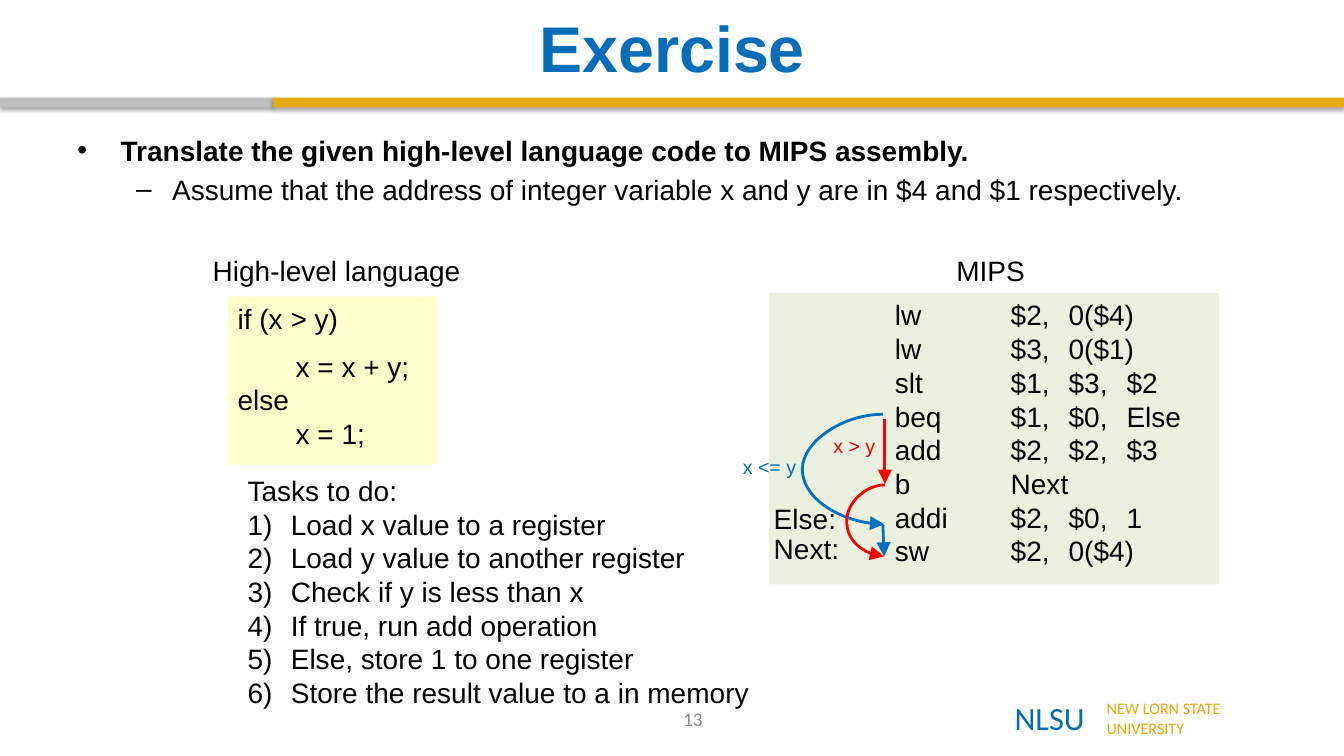
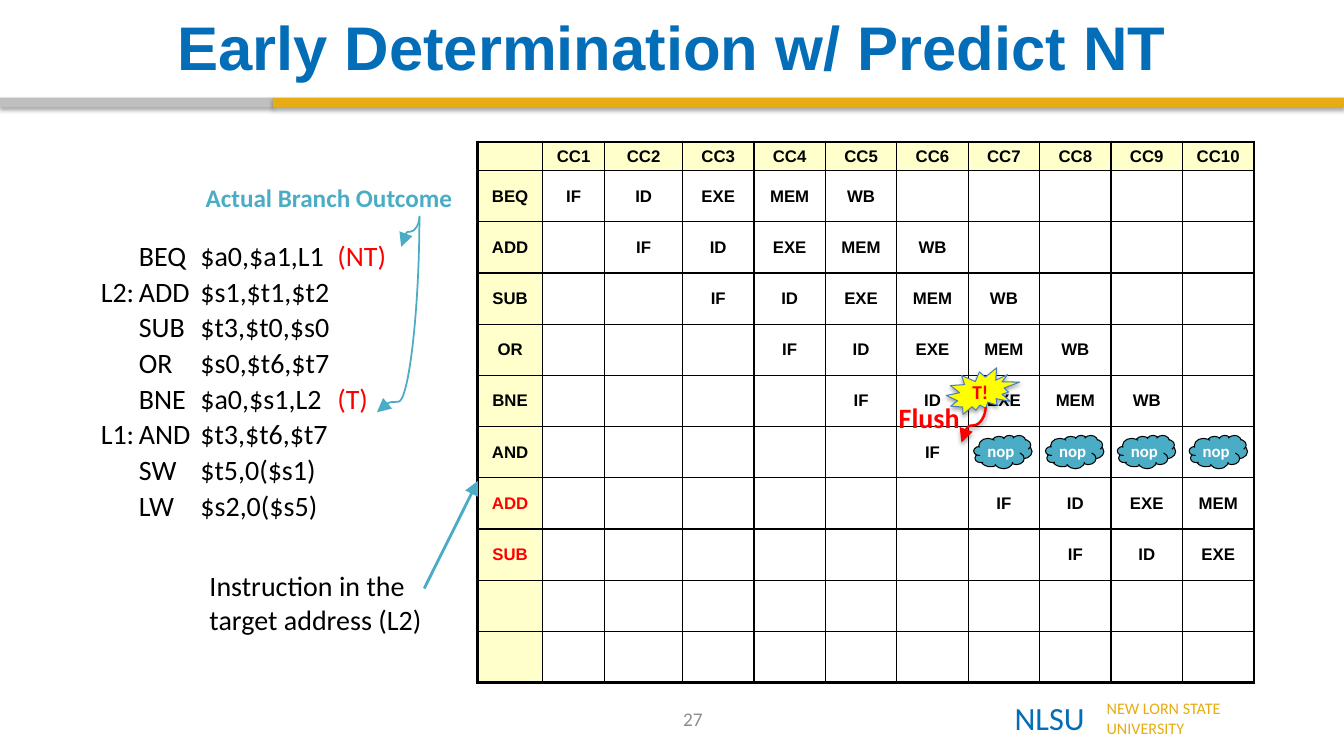
from dataclasses import dataclass
from typing import NamedTuple, Optional

from lxml import etree
from pptx import Presentation
from pptx import util as u
from pptx.dml.color import RGBColor
from pptx.enum import shapes, text
from pptx.oxml.ns import qn

BLUE = RGBColor(0x03, 0x6D, 0xB7)
GOLD = RGBColor(0xE7, 0xAC, 0x11)
SILVER = RGBColor(0xBF, 0xBF, 0xBF)
GRAY = RGBColor(0x8C, 0x8C, 0x8C)
BLACK = RGBColor(0x00, 0x00, 0x00)
WHITE = RGBColor(0xFF, 0xFF, 0xFF)
RED = RGBColor(0xFF, 0x00, 0x00)
ARROW_BLUE = RGBColor(0x00, 0x70, 0xC0)
TEAL = RGBColor(0x4B, 0xAC, 0xC6)
CREAM = RGBColor(0xFF, 0xFF, 0xCC)
SAGE = RGBColor(0xEB, 0xF1, 0xDE)
YELLOW = RGBColor(0xFF, 0xFF, 0x00)
BURST_EDGE = RGBColor(0x4B, 0x7E, 0xBC)

HEADING, PLAIN = "Arial", "Calibri"
LEFT, CENTER = text.PP_ALIGN.LEFT, text.PP_ALIGN.CENTER
TOP, MIDDLE = text.MSO_ANCHOR.TOP, text.MSO_ANCHOR.MIDDLE
SHAPE, CONNECTOR = shapes.MSO_SHAPE, shapes.MSO_CONNECTOR


class Box(NamedTuple):
    left: float
    top: float
    width: float
    height: float

    def lengths(self) -> list:
        return [u.Cm(value) for value in self]


@dataclass
class Arrow:
    begin: tuple[float, float]
    end: tuple[float, float]
    color: RGBColor
    width: float = 2
    bend: Optional[float] = None
    downward: bool = False
    shadow: bool = False


class Label(NamedTuple):
    words: str
    box: Box
    size: float = 20
    color: RGBColor = BLACK


class PipelineRow(NamedTuple):
    name: str
    color: RGBColor = BLACK
    finished: int = 5


STAGES = ["IF", "ID", "EXE", "MEM", "WB"]
PIPELINE = [PipelineRow(name) for name in ("BEQ", "ADD", "SUB", "OR", "BNE")] + [
    PipelineRow("AND", finished=1), PipelineRow("ADD", RED), PipelineRow("SUB", RED),
    PipelineRow("", finished=0), PipelineRow("", finished=0)]
MIPS_CODE = (
    ("lw", "$2,", "0($4)"), ("lw", "$3,", "0($1)"), ("slt", "$1,", "$3,", "$2"),
    ("beq", "$1,", "$0,", "Else"), ("add", "$2,", "$2,", "$3"), ("b", "Next"),
    ("addi", "$2,", "$0,", "1"), ("sw", "$2,", "0($4)"),
)
PROGRAM = (
    ("", "BEQ", "$a0,$a1,L1", "(NT)"), ("L2:", "ADD", "$s1,$t1,$t2"),
    ("", "SUB", "$t3,$t0,$s0"), ("", "OR", "$s0,$t6,$t7"),
    ("", "BNE", "$a0,$s1,L2", "(T)"), ("L1:", "AND", "$t3,$t6,$t7"),
    ("", "SW", "$t5,0($s1)"), ("", "LW", "$s2,0($s5)"),
)
TASKS = """Load x value to a register
Load y value to another register
Check if y is less than x
If true, run add operation
Else, store 1 to one register
Store the result value to a in memory"""
EXERCISE_LABELS = (
    Label("MIPS", Box(23.85, 6.27, 2.5, 1.14)),
    Label("High-level language", Box(5.11, 6.27, 7.1, 1.14)),
    Label("Else:", Box(19.25, 12.5, 2.4, 1.12)),
    Label("Next:", Box(19.25, 13.28, 2.4, 1.12)),
    Label("x > y", Box(20.75, 10.82, 1.8, 0.84), 14, RED),
    Label("x <= y", Box(18.47, 11.33, 2.1, 0.84), 14, ARROW_BLUE),
)
EXERCISE_ARROWS = (
    Arrow((22.25, 10.44), (22.28, 13.21), ARROW_BLUE, bend=20.22),
    Arrow((22.3, 10.57), (22.3, 12.19), RED),
    Arrow((22.3, 12.22), (22.28, 14.02), RED, bend=21.34),
    Arrow((22.25, 13.23), (22.28, 14.02), ARROW_BLUE),
)
OUTCOME_ARROWS = (
    Arrow((10.57, 5.46), (10.11, 6.22), TEAL, 1.25, 5.84, True),
    Arrow((10.57, 5.44), (9.5, 10.39), TEAL, 1.25, 10.13, True),
    Arrow((10.69, 14.83), (12.04, 12.12), TEAL),
)


def write(frame, words: str, *, size=20, font=HEADING, color=BLACK, bold=False,
          align=LEFT, before=0, margin=0, indent=0, bullet="", number="") -> None:
    for line in words.split("\n"):
        paragraph = frame.add_paragraph() if frame.text else frame.paragraphs[0]
        paragraph.alignment = align
        paragraph.space_before = u.Pt(before)
        properties = paragraph._p.get_or_add_pPr()
        properties.set("marL", str(u.Cm(margin)))
        properties.set("indent", str(u.Cm(indent)))
        if bullet:
            etree.SubElement(properties, qn("a:buFont"), typeface=font)
            etree.SubElement(properties, qn("a:buChar"), char=bullet)
        if number:
            etree.SubElement(properties, qn("a:buAutoNum"), type=number)
        if not line:
            etree.SubElement(paragraph._p, qn("a:endParaRPr"), sz=str(size * 100))
            continue
        run = paragraph.add_run()
        run.text = line
        run.font.size, run.font.name, run.font.bold = u.Pt(size), font, bold
        run.font.color.rgb = color


def add_label(slide, words: str, box: Box, *, anchor=TOP, **style):
    frame = slide.shapes.add_textbox(*box.lengths()).text_frame
    frame.word_wrap = True
    frame.vertical_anchor = anchor
    write(frame, words, **style)
    return frame


def add_shadow(effects) -> None:
    shadow = etree.SubElement(effects, qn("a:outerShdw"), blurRad=str(u.Pt(3.1)),
                              dist=str(u.Pt(1.8)), dir="5400000", rotWithShape="0")
    color = etree.SubElement(shadow, qn("a:srgbClr"), val=str(BLACK))
    etree.SubElement(color, qn("a:alpha"), val="35000")


def add_filled(slide, kind, box: Box, fill: RGBColor, *, edge=None, shadow=False,
               anchor=TOP, insets=(0.25, 0.13)):
    shape = slide.shapes.add_shape(kind, *box.lengths())
    shape.shadow.inherit = False
    shape.fill.solid()
    shape.fill.fore_color.rgb = fill
    if edge is None:
        shape.line.fill.background()
    else:
        shape.line.color.rgb = edge
        shape.line.width = u.Pt(0.75)
    if shadow:
        add_shadow(shape._element.spPr.find(qn("a:effectLst")))
    frame = shape.text_frame
    frame.vertical_anchor = anchor
    frame.margin_left = frame.margin_right = u.Cm(insets[0])
    frame.margin_top = frame.margin_bottom = u.Cm(insets[1])
    return frame


def add_arrow(slide, arrow: Arrow) -> None:
    (x1, y1), (x2, y2) = arrow.begin, arrow.end
    ends = (x1, y1, x2, y2)
    if arrow.downward:
        middle_x, middle_y = (x1 + x2) / 2, (y1 + y2) / 2
        run, rise = (y2 - y1) / 2, (x1 - x2) / 2
        ends = (middle_x - run, middle_y - rise, middle_x + run, middle_y + rise)
    kind = CONNECTOR.STRAIGHT if arrow.bend is None else CONNECTOR.CURVE
    connector = slide.shapes.add_connector(kind, *[u.Cm(value) for value in ends])
    connector.line.color.rgb = arrow.color
    connector.line.width = u.Pt(arrow.width)
    properties = connector._element.spPr
    etree.SubElement(properties.find(qn("a:ln")), qn("a:tailEnd"), type="triangle", w="lg", len="lg")
    if arrow.downward:
        properties.find(qn("a:xfrm")).set("rot", "5400000")
    if arrow.bend is not None:
        start, stop = (y1, y2) if arrow.downward else (x1, x2)
        ratio = round((arrow.bend - start) / (stop - start) * 100000)
        guides = properties.find(qn("a:prstGeom")).find(qn("a:avLst"))
        etree.SubElement(guides, qn("a:gd"), name="adj1", fmla=f"val {ratio}")
    effects = etree.SubElement(properties, qn("a:effectLst"))
    if arrow.shadow:
        add_shadow(effects)


def add_grid(slide, left: float, top: float, widths: list, heights: list):
    box = Box(left, top, sum(widths), sum(heights))
    table = slide.shapes.add_table(len(heights), len(widths), *box.lengths()).table
    table.first_row = table.horz_banding = False
    for column, width in zip(table.columns, widths):
        column.width = u.Cm(width)
    for row, height in zip(table.rows, heights):
        row.height = u.Cm(height)
    return table


def format_cell(cell, *, fill=None, borders=(0, 0, 0, 0), inset=0.0) -> None:
    cell.vertical_anchor = MIDDLE
    cell.margin_left = cell.margin_right = cell.margin_top = cell.margin_bottom = u.Cm(inset)
    if fill is None:
        cell.fill.background()
    else:
        cell.fill.solid()
        cell.fill.fore_color.rgb = fill
    for position, (side, width) in enumerate(zip("LRTB", borders)):
        line = etree.Element(qn(f"a:ln{side}"), w=str(u.Pt(width)))
        paint = etree.SubElement(line, qn("a:solidFill" if width else "a:noFill"))
        if width:
            etree.SubElement(paint, qn("a:srgbClr"), val=str(BLACK))
        cell._tc.get_or_add_tcPr().insert(position, line)


def add_code(slide, rows: tuple, left: float, top: float, widths: list, pitch: float, font: str) -> None:
    table = add_grid(slide, left, top, widths, [pitch] * len(rows))
    for y, words in enumerate(rows):
        for x in range(len(widths)):
            format_cell(table.cell(y, x))
        for x, word in enumerate(words):
            write(table.cell(y, x).text_frame, word, font=font, color=RED if word[:1] == "(" else BLACK)
        if len(words) < len(widths):
            table.cell(y, len(words) - 1).merge(table.cell(y, len(widths) - 1))


def add_pipeline(slide) -> None:
    widths = [1.63, 1.57, 1.96] + [1.8] * 8
    table = add_grid(slide, 12.04, 3.58, widths, [0.72] + [1.29] * len(PIPELINE))
    grid = [[""] + [f"CC{cycle}" for cycle in range(1, len(widths))]]
    for start, row in enumerate(PIPELINE):
        stages = [""] * start + STAGES[:row.finished] + [""] * len(widths)
        grid.append([row.name] + stages[:len(widths) - 1])
    for y, words in enumerate(grid):
        for x, word in enumerate(words):
            cell = table.cell(y, x)
            borders = (1 if x else 2.25, 1, 1 if y else 2.25, 2.25 if y == len(PIPELINE) else 1)
            format_cell(cell, fill=None if x and y else CREAM, borders=borders, inset=0.1)
            color = PIPELINE[y - 1].color if y and not x else BLACK
            write(cell.text_frame, word, size=12, bold=True, color=color, align=CENTER)


def add_page(presentation, title: str, title_size: float, number: int):
    slide = presentation.slides.add_slide(presentation.slide_layouts[6])
    add_label(slide, "NLSU", Box(25.32, 17.48, 2.4, 1.24), size=23.1, font=PLAIN, color=BLUE)
    add_label(slide, "NEW LORN STATE\nUNIVERSITY", Box(27.64, 17.48, 3.8, 1.24),
              size=11.5, font=PLAIN, color=GOLD)
    for left, width, color in ((0, 6.88, SILVER), (6.88, 26.99, GOLD)):
        add_filled(slide, SHAPE.RECTANGLE, Box(left, 2.46, width, 0.25), color, shadow=True)
    add_label(slide, title, Box(1.7, 0.2, 30.48, 1.93), anchor=MIDDLE,
              size=title_size, color=BLUE, bold=True, align=CENTER)
    add_label(slide, str(number), Box(13.51, 17.6, 7.9, 1.02), anchor=MIDDLE,
              size=13.8, font=PLAIN, color=GRAY, align=CENTER)
    return slide


def build_exercise(presentation) -> None:
    slide = add_page(presentation, "Exercise", 46.1, 13)
    body = add_label(slide, "Translate the given high-level language code to MIPS assembly.",
                     Box(1.7, 3.23, 30.48, 2.5), bold=True, before=4, margin=1.09, indent=-1.09, bullet="•")
    write(body, "Assume that the address of integer variable x and y are in $4 and $1 respectively.",
          before=4, margin=2.39, indent=-0.91, bullet="–")
    add_filled(slide, SHAPE.RECTANGLE, Box(19.38, 7.39, 11.35, 7.34), SAGE)
    add_code(slide, MIPS_CODE, 22.55, 7.54, [2.92, 1.46, 1.46, 1.9], 0.85, HEADING)
    source = add_filled(slide, SHAPE.RECTANGLE, Box(5.74, 7.47, 5.28, 4.24), CREAM)
    for words, before, margin in (("if (x > y)", 10, 0), ("x = x + y;", 10, 1.46),
                                  ("else", 0, 0), ("x = 1;", 0, 1.46)):
        write(source, words, before=before, margin=margin)
    tasks = add_label(slide, "Tasks to do:", Box(5.99, 11.81, 13.84, 6.48))
    write(tasks, TASKS, margin=1.09, indent=-1.09, number="arabicParenR")
    for label in EXERCISE_LABELS:
        add_label(slide, label.words, label.box, size=label.size, color=label.color)
    for arrow in EXERCISE_ARROWS:
        add_arrow(slide, arrow)


def build_prediction(presentation) -> None:
    slide = add_page(presentation, "Early Determination w/ Predict NT", 44, 27)
    add_pipeline(slide)
    add_code(slide, PROGRAM, 2.54, 6.02, [0.96, 1.55, 3.45, 2], 0.9, PLAIN)
    add_label(slide, "Actual Branch Outcome", Box(4.93, 4.47, 7.1, 1.02),
              size=18, font=PLAIN, color=TEAL, bold=True)
    add_label(slide, "Instruction in the\ntarget address (L2)", Box(5.03, 14.2, 6.6, 2.03), font=PLAIN)
    for arrow in OUTCOME_ARROWS:
        add_arrow(slide, arrow)
    for bubble in range(4):
        cloud = add_filled(slide, SHAPE.CLOUD, Box(24.54 + 1.81 * bubble, 10.97, 1.47, 0.84),
                           TEAL, edge=BLACK, anchor=MIDDLE, insets=(0, 0.13))
        write(cloud, "nop", size=12, font=PLAIN, color=WHITE, bold=True, align=CENTER)
    burst = add_filled(slide, SHAPE.EXPLOSION2, Box(23.85, 9.27, 1.85, 1.17), YELLOW,
                       edge=BURST_EDGE, shadow=True, anchor=MIDDLE, insets=(0, 0))
    write(burst, "T!", size=14, font=PLAIN, color=RED, bold=True, align=CENTER)
    add_arrow(slide, Arrow((24.84, 10.26), (24.23, 11.15), RED, 1.75, 10.72, True, True))
    add_label(slide, "Flush", Box(22.4, 9.96, 2.3, 1.14), font=PLAIN, color=RED, bold=True)


presentation = Presentation()
presentation.slide_width, presentation.slide_height = u.Cm(33.87), u.Cm(19.05)
build_exercise(presentation)
build_prediction(presentation)
presentation.save("out.pptx")
